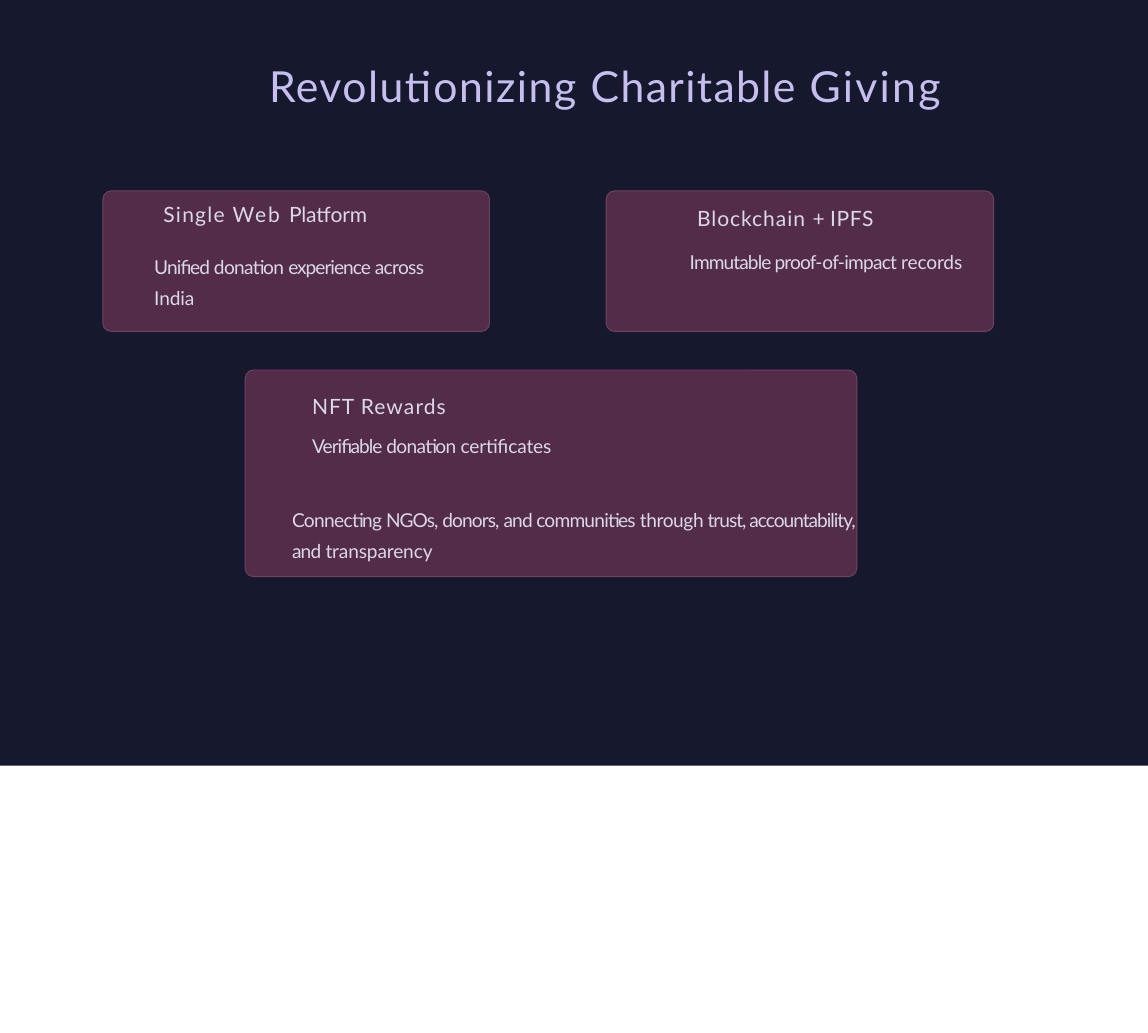
"""Build the charitable giving slide with its three feature cards."""
from lxml import etree
from pptx import Presentation
from pptx.dml.color import RGBColor
from pptx.enum.shapes import MSO_SHAPE
from pptx.enum.text import MSO_AUTO_SIZE
from pptx.oxml.ns import qn
from pptx.util import Inches, Pt

RECTANGLE = MSO_SHAPE.RECTANGLE
ROUNDED = MSO_SHAPE.ROUNDED_RECTANGLE
GROW = MSO_AUTO_SIZE.SHAPE_TO_FIT_TEXT

FONT = "Lato"
NIGHT, PLUM, EDGE = "0A0C22", "532C49", "6D4461"
LILAC, MIST = "C6BEEE", "DAD8E9"
CORNER = 0.09
BACKDROP = (-0.17, -0.27, 12.84, 8.61)
BACKDROP_OPACITY = 95

CARDS = [(1.12, 2.08, 4.21, 1.53), (6.6, 2.08, 4.22, 1.53), (2.67, 4.03, 6.66, 2.25)]

STYLES = {
    "title": {"size": 33.5, "color": LILAC, "lines": 1.06},
    "heading": {"size": 16.5, "color": MIST, "lines": 1},
    "line": {"size": 15, "color": MIST, "lines": 1},
    "body": {"size": 15, "color": MIST, "lines": 1.33},
}

# Each paragraph: style, indent, space before, runs of (text, letter spacing).
TEXTS = [
    ((2.92, 0.61, 7.83, 0.57), 0.01, [
        ("title", 0.01, 0, [("Revolutionizing ", 1.2), ("Charitable ", 1.1), ("Giving", 1.8)]),
    ]),
    ((1.77, 2.17, 2.35, 0.31), 0.02, [
        ("heading", 0.01, 0, [("Single ", 1), ("Web ", 1.5), ("Platform", -0.1)]),
    ]),
    ((1.67, 2.69, 3, 0.65), 0.01, [
        ("body", 0.01, 0, [("Unified ", -0.7), ("donation ", -0.5), ("experience ", -0.8),
                           ("across ", -0.5), ("India", -0.1)]),
    ]),
    ((7.58, 2.22, 1.97, 0.31), 0.02, [
        ("heading", 0.01, 0, [("Blockchain ", 0.8), ("+ ", 0), ("IPFS", 0.5)]),
    ]),
    ((7.5, 2.63, 2.99, 0.65), 0.01, [
        ("body", 0.01, 0, [("Immutable proof-", -0.7), ("of-impact ", -0.6), ("records", -0.1)]),
    ]),
    ((3.17, 4.27, 6.17, 1.86), 0.02, [
        ("heading", 0.23, 0, [("NFT ", 0.7), ("Rewards", 0.9)]),
        ("line", 0.23, 11.7, [("Verifiable ", -0.8), ("donation ", -0.5), ("certificates", -0.1)]),
        ("body", 0.01, 34.4, [("Connecting", -0.5), (" NGOs, ", -0.8), ("donors, ", -0.7),
                              ("and communities ", -0.6), ("through", -0.3),
                              (" trust, accountability, ", -0.8), ("and ", -0.6),
                              ("transparency", -0.1)]),
    ]),
]


def rgb(color):
    """Turn a hex string into a colour."""
    return RGBColor.from_string(color)


def add_panel(page, kind, place, fill):
    """Add a plain filled shape without a line or shadow."""
    panel = page.shapes.add_shape(kind, *map(Inches, place))
    panel.shadow.inherit = False
    panel.fill.solid()
    panel.fill.fore_color.rgb = rgb(fill)
    panel.line.fill.background()
    return panel


def add_backdrop(page):
    """Add the slightly transparent dark backdrop."""
    panel = add_panel(page, RECTANGLE, BACKDROP, NIGHT)
    color = panel.fill._xPr.find(".//" + qn("a:srgbClr"))
    etree.SubElement(color, qn("a:alpha")).set("val", str(BACKDROP_OPACITY * 1000))


def add_card(page, place):
    """Add a rounded card with a thin outline."""
    card = add_panel(page, ROUNDED, place, PLUM)
    card.adjustments[0] = CORNER / min(place[2:])
    card.line.color.rgb = rgb(EDGE)
    card.line.width = Pt(0.75)


def add_paragraph(para, style, indent, before, runs):
    """Fill a paragraph run by run."""
    look = STYLES[style]
    para._p.get_or_add_pPr().set("marL", str(Inches(indent)))
    para.line_spacing = look["lines"]
    if before:
        para.space_before = Pt(before)
    for text, spacing in runs:
        span = para.add_run()
        span.text = text
        span.font.name = FONT
        span.font.size = Pt(look["size"])
        span.font.color.rgb = rgb(look["color"])
        span._r.get_or_add_rPr().set("spc", str(round(spacing * 100)))


def add_text(page, place, top_inset, paragraphs):
    """Add a wrapping text box with its paragraphs."""
    box = page.shapes.add_textbox(*map(Inches, place))
    frame = box.text_frame
    frame.word_wrap = True
    frame.auto_size = GROW
    frame.margin_left = frame.margin_right = frame.margin_bottom = 0
    frame.margin_top = Inches(top_inset)
    for index, paragraph in enumerate(paragraphs):
        para = frame.add_paragraph() if index else frame.paragraphs[0]
        add_paragraph(para, *paragraph)


def main():
    """Assemble the slide and save it."""
    deck = Presentation()
    deck.slide_width, deck.slide_height = Inches(12.5), Inches(11.25)
    page = deck.slides.add_slide(deck.slide_layouts[6])
    add_backdrop(page)
    for place in CARDS:
        add_card(page, place)
    for text in TEXTS:
        add_text(page, *text)
    deck.save("out.pptx")


if __name__ == "__main__":
    main()
